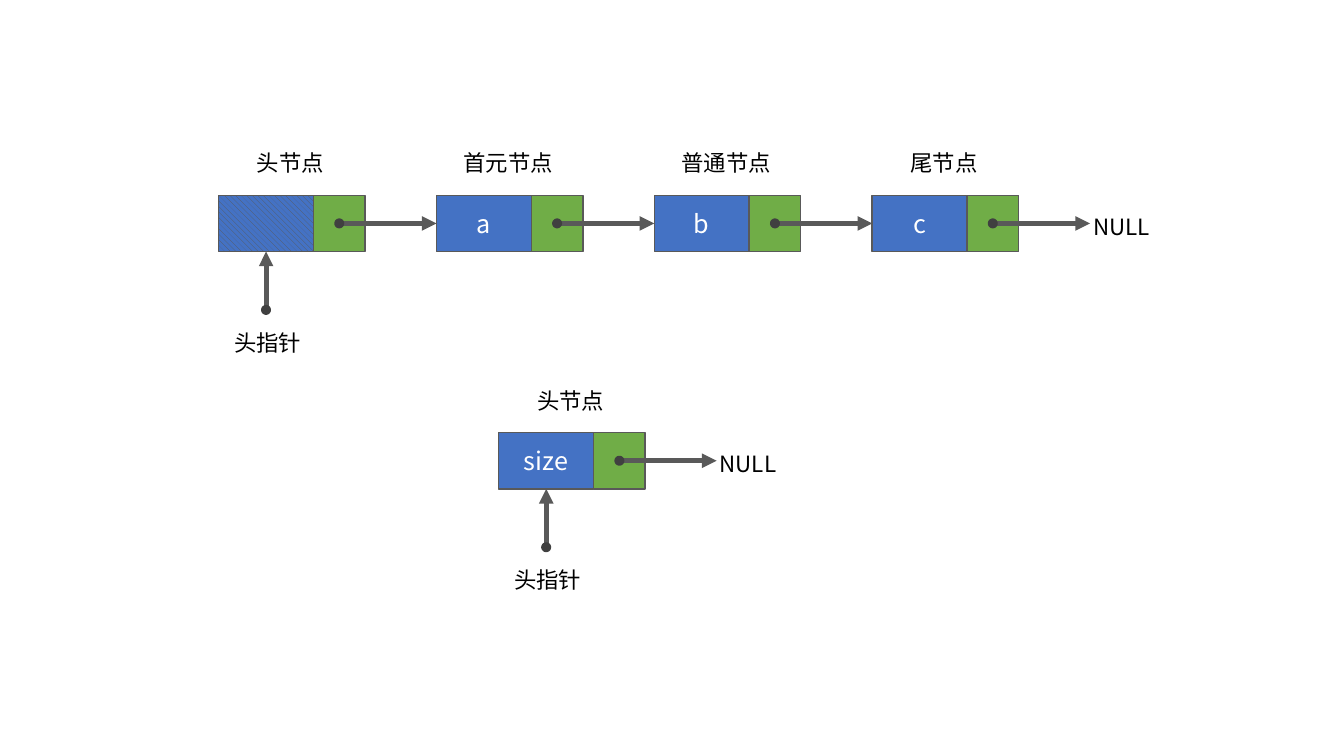
from lxml.etree import SubElement
from pptx import Presentation
from pptx.dml.color import RGBColor
from pptx.enum.dml import MSO_PATTERN
from pptx.enum.shapes import MSO_CONNECTOR, MSO_SHAPE
from pptx.enum.text import MSO_ANCHOR, MSO_AUTO_SIZE, PP_ALIGN
from pptx.oxml.ns import qn
from pptx.util import Cm, Pt

COLORS = {"data": "4472C4", "link": "70AD47", "line": "595959",
          "dot": "404040", "text": "000000", "value": "FFFFFF"}
COLORS = {name: RGBColor.from_string(value) for name, value in COLORS.items()}
FONT = "Noto Sans CJK SC"

# Node measures in centimetres
DATA_WIDTH, LINK_WIDTH, HEIGHT = 2.39, 1.3, 1.42
PITCH = 5.49
DOT = 0.13
POINTER_LENGTH = 1.47
LABEL_WIDTH, WIDE_LABEL, LABEL_HEIGHT = 2.64, 3.3, 0.94


def add_box(group, kind, left, top, width, height, fill, line, weight):
    box = group.shapes.add_shape(kind, Cm(left), Cm(top), Cm(width), Cm(height))
    box.shadow.inherit = False
    box.fill.solid()
    box.fill.fore_color.rgb = COLORS[fill]
    box.line.color.rgb = COLORS[line]
    box.line.width = Pt(weight)
    return box


def write(box, text, size, color):
    para = box.text_frame.paragraphs[0]
    para.alignment = PP_ALIGN.CENTER
    span = para.add_run()
    span.text = text
    span.font.size = Pt(size)
    span.font.name = FONT
    span.font.color.rgb = COLORS[color]
    SubElement(span.font._element, qn("a:ea"), typeface=FONT)


deck = Presentation()
deck.slide_width, deck.slide_height = Cm(33.87), Cm(19.05)
page = deck.slides.add_slide(deck.slide_layouts[6])

# Each list: left, top, then caption and value per node (None means hatched)
lists = [
    (5.51, 4.92, [("头节点", None), ("首元节点", "a"), ("普通节点", "b"), ("尾节点", "c")]),
    (12.57, 10.9, [("头节点", "size")]),
]

for start, top, nodes in lists:
    group = page.shapes.add_group_shape()
    middle = top + HEIGHT / 2
    labels = []
    data_boxes = []

    # Nodes: a data box and a link box
    for index, (caption, value) in enumerate(nodes):
        left = start + index * PITCH
        data = add_box(group, MSO_SHAPE.RECTANGLE, left, top, DATA_WIDTH, HEIGHT,
                       "data", "line", 1)
        if value is None:
            data.fill.patterned()
            data.fill.pattern = MSO_PATTERN.WIDE_DOWNWARD_DIAGONAL
            data.fill.fore_color.rgb = COLORS["line"]
            data.fill.back_color.rgb = COLORS["data"]
        else:
            data.text_frame.vertical_anchor = MSO_ANCHOR.MIDDLE
            write(data, value, 18, "value")
        data_boxes.append(data)
        add_box(group, MSO_SHAPE.RECTANGLE, left + DATA_WIDTH, top, LINK_WIDTH, HEIGHT,
                "link", "line", 1)
        width = WIDE_LABEL if len(caption) > 3 else LABEL_WIDTH
        labels.append((caption, left + 1.81, top - 1.28, width))

    # Arrows: from x, from y, to x, to y, target box, side of the target
    arrows = []
    for index in range(len(nodes)):
        left = start + index * PITCH
        target = data_boxes[index + 1] if index + 1 < len(nodes) else None
        arrows.append((left + DATA_WIDTH + LINK_WIDTH / 2, middle,
                       left + PITCH, middle, target, 1))
    head = start + DATA_WIDTH / 2
    bottom = top + HEIGHT
    arrows.append((head, bottom + POINTER_LENGTH, head, bottom, data_boxes[0], 2))

    for from_x, from_y, to_x, to_y, target, side in arrows:
        arrow = group.shapes.add_connector(MSO_CONNECTOR.STRAIGHT, Cm(from_x), Cm(from_y),
                                           Cm(to_x), Cm(to_y))
        if target is not None:
            arrow.end_connect(target, side)
        arrow.line.color.rgb = COLORS["line"]
        arrow.line.width = Pt(3.5)
        properties = arrow._element.spPr
        SubElement(properties.find(qn("a:ln")), qn("a:tailEnd"), type="triangle")
        SubElement(properties, qn("a:effectLst"))
        add_box(group, MSO_SHAPE.OVAL, from_x - DOT / 2, from_y - DOT / 2, DOT, DOT,
                "dot", "dot", 3.5)

    # Labels: text, centre, top, width
    last = start + (len(nodes) - 1) * PITCH
    labels.append(("头指针", head + 0.04, top + 3.24, LABEL_WIDTH))
    labels.append(("NULL", last + 6.28, top + 0.33, LABEL_WIDTH))
    for text, centre, label_top, width in labels:
        label = group.shapes.add_textbox(Cm(centre - width / 2), Cm(label_top),
                                         Cm(width), Cm(LABEL_HEIGHT))
        label.text_frame.word_wrap = True
        label.text_frame.auto_size = MSO_AUTO_SIZE.SHAPE_TO_FIT_TEXT
        write(label, text, 16, "text")

deck.save("out.pptx")
